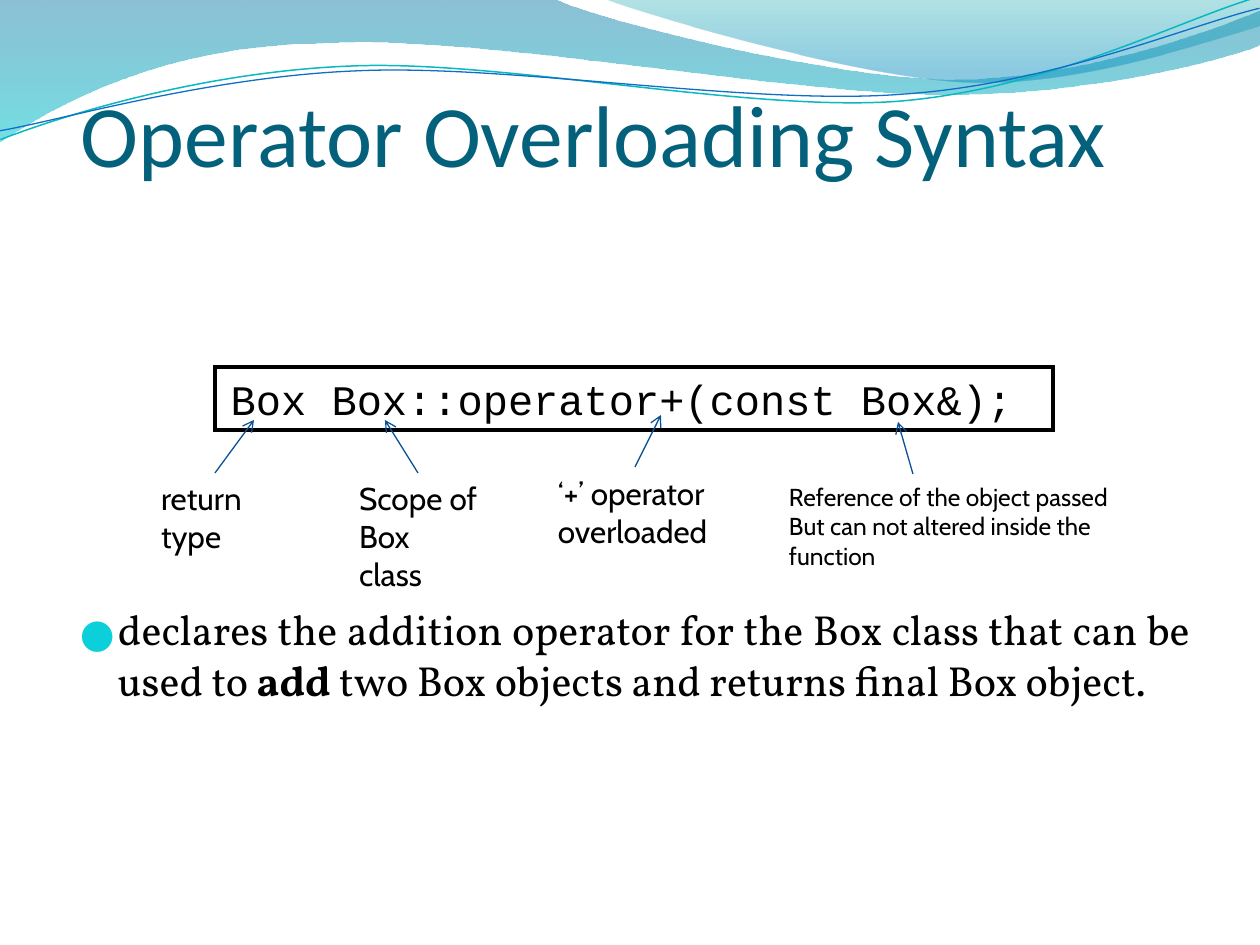
from lxml import etree
from pptx import Presentation
from pptx.dml.color import RGBColor
from pptx.enum.shapes import MSO_CONNECTOR, MSO_SHAPE
from pptx.enum.text import MSO_ANCHOR, PP_ALIGN
from pptx.oxml.ns import qn
from pptx.util import Pt

PX = 914400 // 126
LEFT, CENTER, JUSTIFY = PP_ALIGN.LEFT, PP_ALIGN.CENTER, PP_ALIGN.JUSTIFY
TOP, MIDDLE, BOTTOM = MSO_ANCHOR.TOP, MSO_ANCHOR.MIDDLE, MSO_ANCHOR.BOTTOM
RECTANGLE, STRAIGHT = MSO_SHAPE.RECTANGLE, MSO_CONNECTOR.STRAIGHT

COLORS = {
    "title": "04617B", "text": "000000", "paper": "FFFFFF", "arrow": "095295",
    "bullet": "0BD0D9", "teal_line": "0AB8BF", "blue_line": "0F6FC6",
    "deep_blue": "0074A1", "aqua": "00C6CF", "green": "00A1A9", "sky": "008BBF",
}

WAVES = [
    {"segments": [(0, 0), (554, -1), (600, 21, 837, 79, 955, 79),
                  (1075, 79, 1207, 33, 1260, 11), (1261, 45),
                  (1239, 55, 1096, 96, 940, 94), (784, 94, 481, 35, 324, 43),
                  (163, 45, 58, 104, -1, 142)],
     "stops": [("deep_blue", 0, 45), ("aqua", 1, 55)]},
    {"segments": [(604, -1), (641, 14, 859, 78, 969, 82),
                  (1079, 86, 1211, 40, 1260, 26), (1260, 0)],
     "stops": [("green", 0, 30), ("sky", 0.8, 45)]},
    {"segments": [(-2, 110), (58, 90, 199, 52, 350, 53),
                  (499, 53, 745, 118, 896, 114), (1049, 109, 1184, 45, 1260, 27)],
     "line": ("teal_line", 0.85), "rotation": 357.3},
    {"segments": [(-2, 101), (57, 94, 207, 57, 357, 58),
                  (509, 58, 750, 112, 902, 107), (1052, 104, 1189, 52, 1262, 38)],
     "line": ("blue_line", 0.75), "rotation": 357.3},
]

TITLE = "Operator Overloading Syntax"
SYNTAX = "Box Box::operator+(const Box&); "
BODY = [("declares the addition operator for the Box class that can be used to\u00a0", False),
        ("add", True),
        ("\u00a0two Box objects and returns final Box object.", False)]

LABELS = [
    (["return type"], (149, 473, 170, 50), 18, (215, 473, 254, 420)),
    (["Scope of ", "Box class"], (347, 473, 143, 89), 18, (418, 473, 385, 420)),
    (["\u2018+\u2019 operator", "overloaded"], (546, 468, 178, 89), 18, (635, 467, 661, 415)),
    (["Reference of the object passed", "But can not altered inside the function"],
     (777, 476, 411, 72), 14, (913, 474, 898, 422)),
]


def px(values):
    return [value * PX for value in values]


def rgb(name):
    return RGBColor.from_string(COLORS[name])


def bend_lines(shape, segments):
    lines = list(shape._element.iter(qn("a:lnTo")))
    position = 0
    for segment in segments[1:]:
        count = len(segment) // 2
        if count == 3:
            group = lines[position:position + count]
            group[0].tag = qn("a:cubicBezTo")
            for line in group[1:]:
                group[0].append(line[0])
                line.getparent().remove(line)
        position += count


def add_wave(slide, segments, stops=None, line=None, rotation=0):
    points = [px(segment[i:i + 2]) for segment in segments for i in range(0, len(segment), 2)]
    builder = slide.shapes.build_freeform(*points[0])
    builder.add_line_segments(points[1:], close=stops is not None)
    shape = builder.convert_to_shape()
    bend_lines(shape, segments)
    shape.rotation = rotation
    shape.shadow.inherit = False
    if stops:
        shape.line.fill.background()
        shape.fill.gradient()
        shape.fill.gradient_angle = 270
        for stop, (color, position, opacity) in zip(shape.fill.gradient_stops, stops):
            stop.color.rgb = rgb(color)
            stop.position = position
        nodes = list(shape._element.spPr.iter(qn("a:srgbClr")))
        for node, (color, position, opacity) in zip(nodes, stops):
            etree.SubElement(node, qn("a:alpha"), val=str(opacity * 1000))
    else:
        shape.fill.background()
        shape.line.color.rgb = rgb(line[0])
        shape.line.width = Pt(line[1])


def write_text(shape, paragraphs, size, font, color="text", align=LEFT, anchor=TOP,
               wrap=True, margins=(12, 6, 12, 6)):
    frame = shape.text_frame
    frame.word_wrap = wrap
    frame.vertical_anchor = anchor
    (frame.margin_left, frame.margin_top,
     frame.margin_right, frame.margin_bottom) = px(margins)
    for index, runs in enumerate(paragraphs):
        paragraph = frame.add_paragraph() if index else frame.paragraphs[0]
        paragraph.alignment = align
        for text, bold in runs:
            run = paragraph.add_run()
            run.text = text
            run.font.size, run.font.name, run.font.bold = Pt(size), font, bold
            run.font.color.rgb = rgb(color)
    return frame


def add_bullet(paragraph, indent):
    paragraph.space_before = Pt(4.8)
    properties = paragraph._p.get_or_add_pPr()
    properties.set("marL", str(indent * PX))
    properties.set("indent", str(-indent * PX))
    bullet_color = etree.SubElement(properties, qn("a:buClr"))
    etree.SubElement(bullet_color, qn("a:srgbClr"), val=COLORS["bullet"])
    etree.SubElement(properties, qn("a:buSzPct"), val="95000")
    etree.SubElement(properties, qn("a:buFont"), typeface="Noto Sans Symbols")
    etree.SubElement(properties, qn("a:buChar"), char="\u25cf")


def add_arrow(slide, ends):
    arrow = slide.shapes.add_connector(STRAIGHT, *px(ends))
    arrow.line.color.rgb = rgb("arrow")
    arrow.line.width = Pt(0.75)
    etree.SubElement(arrow.line._get_or_add_ln(), qn("a:tailEnd"), type="arrow")
    etree.SubElement(arrow._element.spPr, qn("a:effectLst"))


presentation = Presentation()
presentation.slide_width, presentation.slide_height = px((1260, 945))
slide = presentation.slides.add_slide(presentation.slide_layouts[6])

for wave in WAVES:
    add_wave(slide, **wave)

title = slide.shapes.add_textbox(*px((81, 28, 1134, 157)))
write_text(title, [[(TITLE, False)]], 50, "Calibri", color="title", anchor=BOTTOM,
           margins=(0, 6, 0, 0))

body = slide.shapes.add_textbox(*px((68, 598, 1134, 136)))
frame = write_text(body, [BODY], 24, "Vollkorn", align=JUSTIFY)
add_bullet(frame.paragraphs[0], 38)

syntax_box = slide.shapes.add_shape(RECTANGLE, *px((215, 367, 838, 63)))
syntax_box.shadow.inherit = False
syntax_box.fill.solid()
syntax_box.fill.fore_color.rgb = rgb("paper")
syntax_box.line.color.rgb = rgb("text")
syntax_box.line.width = Pt(2)
etree.SubElement(syntax_box.line._get_or_add_ln(), qn("a:miter"), lim="800000")
write_text(syntax_box, [[(SYNTAX, False)]], 24, "Courier New", align=CENTER,
           anchor=MIDDLE, wrap=False)

for lines, box, size, arrow_ends in LABELS:
    label = slide.shapes.add_textbox(*px(box))
    write_text(label, [[(line, False)] for line in lines], size, "Cabin")
    add_arrow(slide, arrow_ends)

presentation.save("out.pptx")
